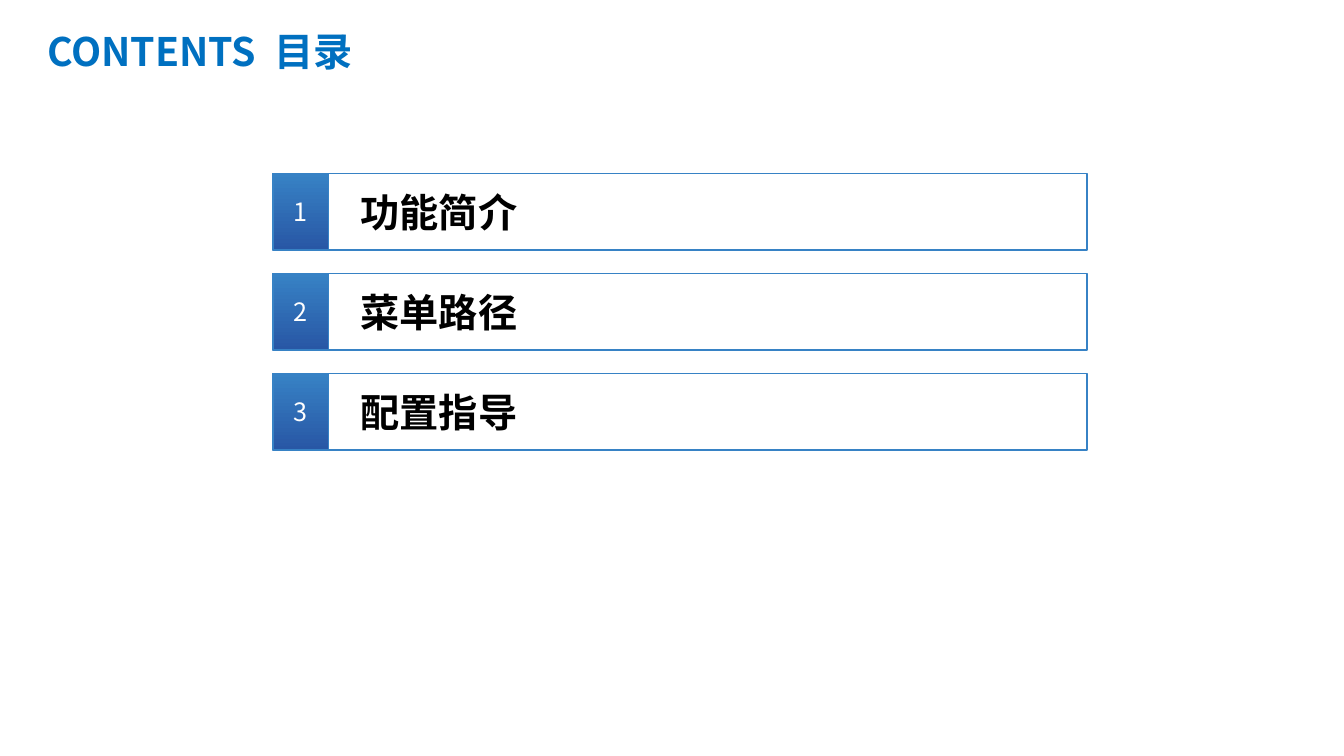
from lxml.etree import SubElement
from pptx import Presentation
from pptx.dml.color import RGBColor
from pptx.enum.shapes import MSO_SHAPE as Preset
from pptx.enum.text import MSO_ANCHOR as Anchor, MSO_AUTO_SIZE as AutoSize, PP_ALIGN as Align
from pptx.oxml.ns import qn
from pptx.util import Cm, Pt

FONT = "Noto Sans CJK SC"
TITLE_BLUE, LIGHT_BLUE, DARK_BLUE = "0070C0", "3782C5", "2857A5"
TOPICS = ["功能简介", "菜单路径", "配置指导"]
ROW_HEIGHT, ROW_PITCH, NUMBER_WIDTH = 1.93, 2.52, 1.4


def paint(target, color):
    target.rgb = RGBColor.from_string(color)


def write(frame, text, size, color, bold=False, align=Align.LEFT):
    para = frame.paragraphs[0]
    para.alignment = align
    span = para.add_run()
    span.text = text
    span.font.name = FONT
    span.font.size = Pt(size)
    span.font.bold = bold
    paint(span.font.color, color)
    SubElement(span.font._element, qn("a:ea"), typeface=FONT)


def add_title(page, left, top, width, height):
    title = page.shapes.title
    title.left, title.top = Cm(left), Cm(top)
    title.width, title.height = Cm(width), Cm(height)
    frame = title.text_frame
    frame.auto_size = AutoSize.NONE
    frame.vertical_anchor = Anchor.MIDDLE
    write(frame, "CONTENTS  目录", 28, TITLE_BLUE, bold=True)


def add_box(group, left, top, width, height):
    box = group.shapes.add_shape(Preset.RECTANGLE, Cm(left), Cm(top), Cm(width), Cm(height))
    box.shadow.inherit = False
    box.fill.background()
    paint(box.line.color, LIGHT_BLUE)
    box.line.width = Pt(1)
    return box


def add_topic(page, number, topic, left, top, width, height):
    group = page.shapes.add_group_shape()
    add_box(group, left, top, width, height)

    badge = add_box(group, left, top, NUMBER_WIDTH, height)
    badge.fill.gradient()
    badge.fill.gradient_angle = 270
    for stop, color in zip(badge.fill.gradient_stops, (LIGHT_BLUE, DARK_BLUE)):
        paint(stop.color, color)
    badge.text_frame.vertical_anchor = Anchor.MIDDLE
    write(badge.text_frame, str(number), 18, "FFFFFF", align=Align.CENTER)

    label = group.shapes.add_textbox(Cm(left + 1.96), Cm(top + 0.24), Cm(width - 2.28), Cm(1.45))
    label.text_frame.word_wrap = True
    label.text_frame.auto_size = AutoSize.SHAPE_TO_FIT_TEXT
    write(label.text_frame, topic, 28, "000000", bold=True)


def add_contents(page, left, top, width):
    for index, topic in enumerate(TOPICS):
        add_topic(page, index + 1, topic, left, top + index * ROW_PITCH, width, ROW_HEIGHT)


def main():
    deck = Presentation()
    deck.slide_width, deck.slide_height = Cm(33.87), Cm(19.05)
    page = deck.slides.add_slide(deck.slide_layouts[5])
    add_title(page, 0.94, 0.48, 28.9, 1.6)
    add_contents(page, 6.88, 4.37, 20.52)
    deck.save("out.pptx")


if __name__ == "__main__":
    main()
